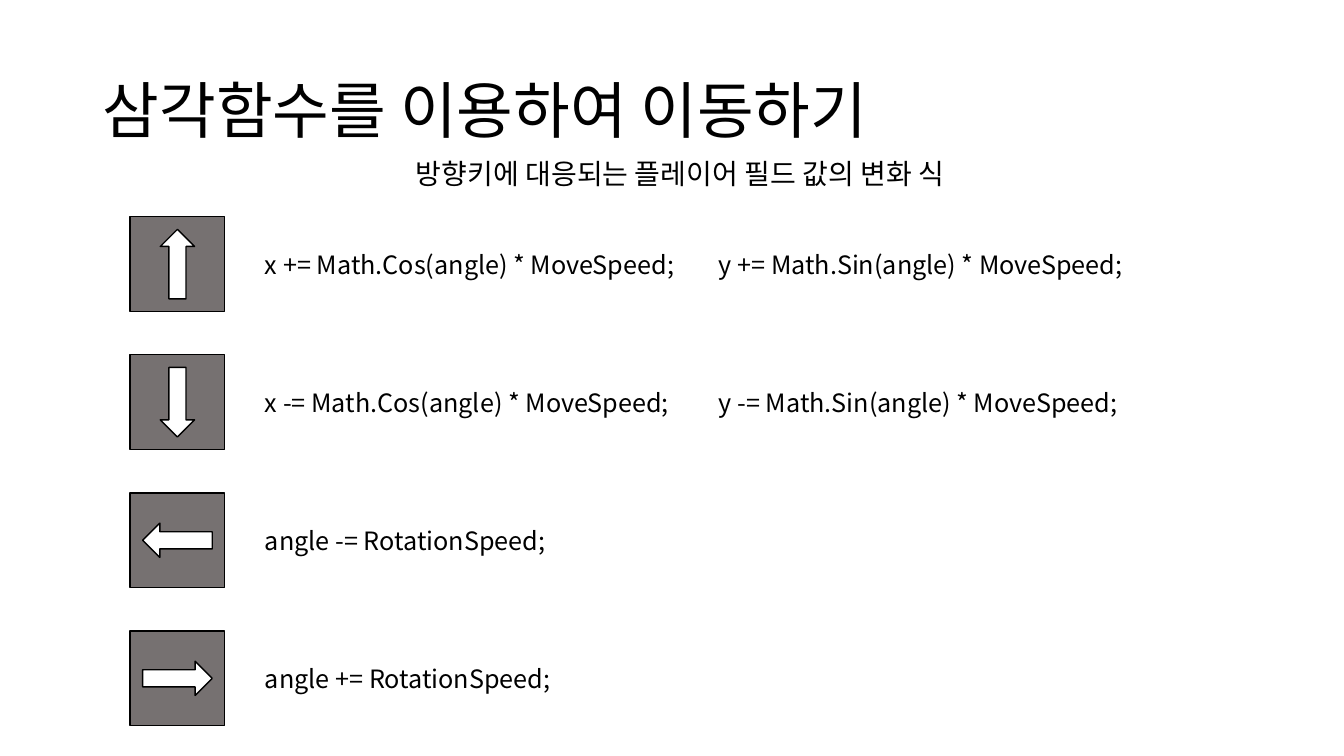
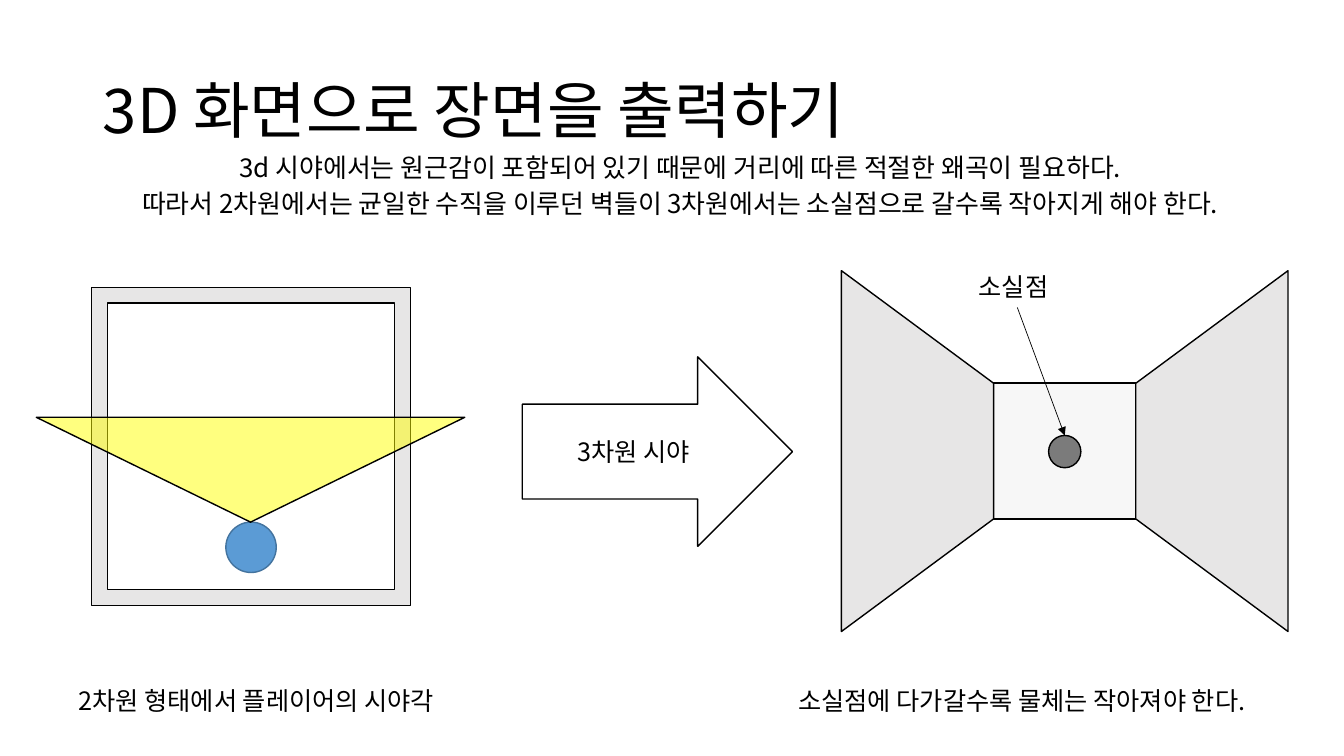
import dataclasses

import lxml.etree
import pptx
import pptx.dml.color
import pptx.enum.shapes
import pptx.enum.text
import pptx.oxml.ns
import pptx.util

Inches = pptx.util.Inches
SHAPE = pptx.enum.shapes.MSO_SHAPE
ALIGN = pptx.enum.text.PP_ALIGN
ANCHOR = pptx.enum.text.MSO_ANCHOR


@dataclasses.dataclass(frozen=True)
class Theme:
    font: str = "Noto Sans CJK KR"
    black: str = "000000"
    white: str = "FFFFFF"
    key: str = "767171"
    wall: str = "E7E6E6"
    back: str = "F2F2F2"
    sight: str = "FFFF00"
    player: str = "5B9BD5"
    rim: str = "43739E"
    title: float = 44
    lead: float = 20
    dense: float = 18.5
    body: float = 18


THEME = Theme()


def rgb(code):
    return pptx.dml.color.RGBColor.from_string(code)


def add_node(parent, tag, **attrs):
    return lxml.etree.SubElement(parent, pptx.oxml.ns.qn(tag), attrs)


def write(frame, *lines, size=THEME.body, align=ALIGN.LEFT, anchor=ANCHOR.TOP,
          space=1.0, before=0):
    """Fill a text frame with one paragraph for each line."""
    frame.word_wrap = True
    frame.vertical_anchor = anchor
    for i, line in enumerate(lines):
        para = frame.add_paragraph() if i else frame.paragraphs[0]
        para.alignment = align
        para.line_spacing = space
        para.space_before = pptx.util.Pt(before)
        run = para.add_run()
        run.text = line
        font = run.font
        font.size = pptx.util.Pt(size)
        font.name = THEME.font
        font.color.rgb = rgb(THEME.black)
        add_node(run._r.get_or_add_rPr(), "a:ea", typeface=THEME.font)


def add_text(shapes, x, y, w, h, *lines, **style):
    box = shapes.add_textbox(Inches(x), Inches(y), Inches(w), Inches(h))
    write(box.text_frame, *lines, **style)


def add_form(shapes, kind, x, y, w, h, fill, line=THEME.black, turn=0,
             adjust=None, alpha=None):
    """Add a preset shape; alpha is its opacity in percent."""
    form = shapes.add_shape(kind, Inches(x), Inches(y), Inches(w), Inches(h))
    form.shadow.inherit = False
    form.rotation = turn
    if adjust is not None:
        form.adjustments[0] = adjust
    form.fill.solid()
    form.fill.fore_color.rgb = rgb(fill)
    if alpha is not None:
        tint = form._element.spPr.find(".//" + pptx.oxml.ns.qn("a:srgbClr"))
        add_node(tint, "a:alpha", val=str(alpha * 1000))
    form.line.color.rgb = rgb(line)
    form.line.width = pptx.util.Pt(1)
    return form


def add_arrow(shapes, x1, y1, x2, y2):
    link = shapes.add_connector(pptx.enum.shapes.MSO_CONNECTOR.STRAIGHT,
                                Inches(x1), Inches(y1), Inches(x2), Inches(y2))
    link.line.color.rgb = rgb(THEME.black)
    link.line.width = pptx.util.Pt(0.5)
    add_node(link.line._get_or_add_ln(), "a:tailEnd", type="triangle")
    add_node(link._element.spPr, "a:effectLst")


def add_key(slide, x, y, turn):
    """Add an arrow key as one group."""
    side, long, thick = 0.94, 0.69, 0.34
    parts = slide.shapes.add_group_shape().shapes
    add_form(parts, SHAPE.RECTANGLE, x, y, side, side, THEME.key)
    add_form(parts, SHAPE.RIGHT_ARROW, x + (side - long) / 2,
             y + (side - thick) / 2, long, thick, THEME.white, turn=turn)


def add_slide(deck, title, *lead, **style):
    slide = deck.slides.add_slide(deck.slide_layouts[5])
    write(slide.shapes.title.text_frame, title, size=THEME.title,
          anchor=ANCHOR.MIDDLE, space=0.9)
    add_text(slide.shapes, 0.39, 1.54, 12.71, 0.73, *lead,
             align=ALIGN.CENTER, before=10, **style)
    return slide


def move_slide(deck):
    slide = add_slide(deck, "삼각함수를 이용하여 이동하기",
                      "방향키에 대응되는 플레이어 필드 값의 변화 식",
                      size=THEME.lead, space=0.9)
    rows = [
        (270, "x += Math.Cos(angle) * MoveSpeed;\ty += Math.Sin(angle) * MoveSpeed;"),
        (90, "x -= Math.Cos(angle) * MoveSpeed;\ty -= Math.Sin(angle) * MoveSpeed;"),
        (180, "angle -= RotationSpeed;"),
        (0, "angle += RotationSpeed;"),
    ]
    for i, (turn, rule) in enumerate(rows):
        top = 2.15 + 1.37 * i
        add_key(slide, 1.29, top, turn)
        add_text(slide.shapes, 2.53, top + 0.27, 9.6, 0.4, rule)


def add_plan(shapes):
    """Add the room seen from above."""
    add_form(shapes, SHAPE.FRAME, 0.91, 2.85, 3.16, 3.16, THEME.wall, adjust=0.05)
    add_form(shapes, SHAPE.OVAL, 2.24, 5.18, 0.5, 0.5, THEME.player, line=THEME.rim)
    add_form(shapes, SHAPE.ISOSCELES_TRIANGLE, 0.36, 4.14, 4.25, 1.04,
             THEME.sight, turn=180, alpha=50)
    add_text(shapes, 0.68, 6.75, 4.14, 0.71, "2차원 형태에서 플레이어의 시야각")


def add_room(shapes):
    """Add the room in perspective with its vanishing point."""
    parts = shapes.add_group_shape().shapes
    add_form(parts, SHAPE.RECTANGLE, 9.85, 3.8, 1.42, 1.35, THEME.back, alpha=60)
    for x, turn in ((7.31, 90), (10.23, 270)):
        add_form(parts, SHAPE.TRAPEZOID, x, 3.72, 3.58, 1.51, THEME.wall,
                 turn=turn, adjust=0.74)
    add_form(shapes, SHAPE.OVAL, 10.4, 4.32, 0.32, 0.32, THEME.black, alpha=50)
    add_arrow(shapes, 10.09, 3.05, 10.56, 4.32)
    add_text(shapes, 9.61, 2.64, 1.1, 0.4, "소실점")
    add_text(shapes, 7.82, 6.75, 5.16, 0.71,
             "소실점에 다가갈수록 물체는 작아져야 한다.")


def view_slide(deck):
    slide = add_slide(
        deck, "3D 화면으로 장면을 출력하기",
        "3d 시야에서는 원근감이 포함되어 있기 때문에 거리에 따른 적절한 왜곡이 필요하다.",
        "따라서 2차원에서는 균일한 수직을 이루던 벽들이 3차원에서는 소실점으로 갈수록 작아지게 해야 한다.",
        size=THEME.dense, space=0.7)
    add_plan(slide.shapes)
    step = add_form(slide.shapes, SHAPE.RIGHT_ARROW, 5.18, 3.54, 2.68, 1.88,
                    THEME.white)
    write(step.text_frame, "3차원 시야", align=ALIGN.CENTER, anchor=ANCHOR.MIDDLE)
    add_room(slide.shapes)


def main():
    deck = pptx.Presentation()
    deck.slide_width, deck.slide_height = Inches(13.33), Inches(7.5)
    head = deck.slide_layouts[5].placeholders[0]
    head.left, head.top = Inches(0.92), Inches(0.4)
    head.width, head.height = Inches(11.5), Inches(1.45)
    move_slide(deck)
    view_slide(deck)
    deck.save("out.pptx")


if __name__ == "__main__":
    main()
